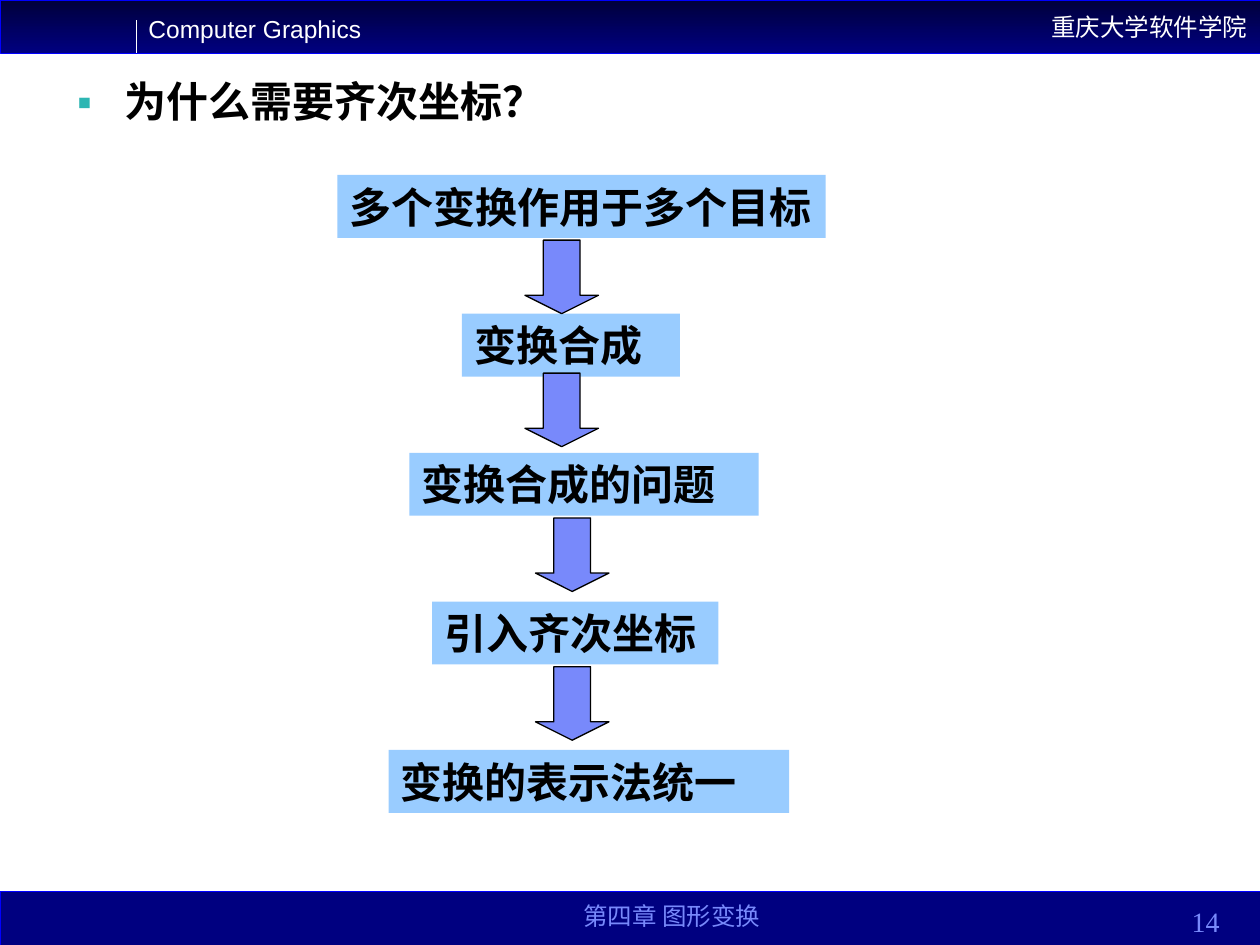
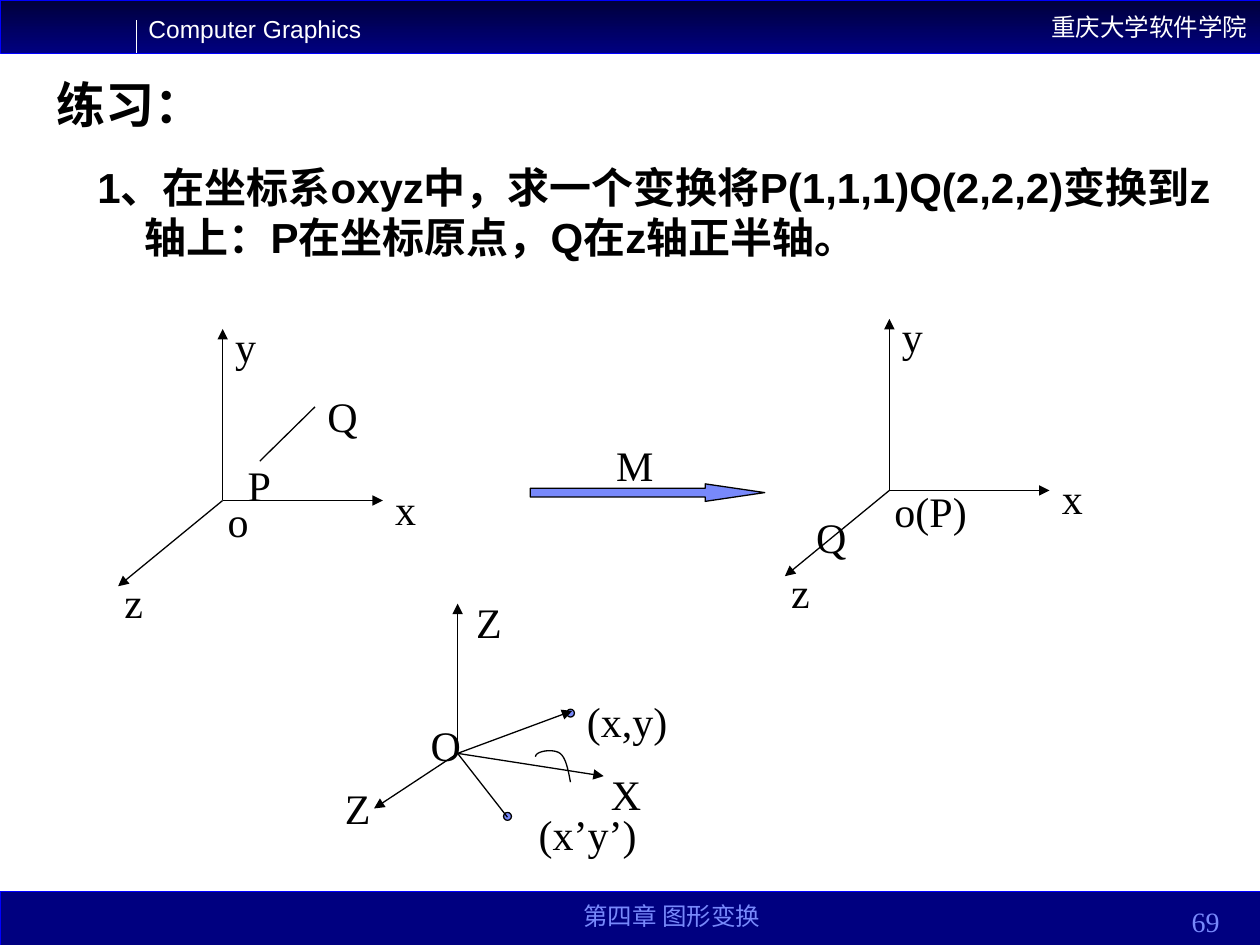
from lxml.etree import SubElement
from pptx import Presentation
from pptx.dml.color import RGBColor
from pptx.enum.shapes import MSO_CONNECTOR, MSO_SHAPE
from pptx.enum.text import MSO_ANCHOR, PP_ALIGN
from pptx.oxml.ns import qn
from pptx.util import Pt

COLORS = {
    "white": "FFFFFF",
    "black": "000000",
    "night": "00003B",
    "navy": "000080",
    "edge": "0000FF",
    "violet": "7889FB",
    "sky": "99CCFF",
    "teal": "2DB6B3",
}
SANS, SERIF = "Arial", "Times New Roman"


def add_filled(page, kind, left, top, width, height, fill, line=None, weight=0.75):
    """Add a preset shape with a plain fill and an optional outline."""
    shape = page.shapes.add_shape(kind, Pt(left), Pt(top), Pt(width), Pt(height))
    shape.shadow.inherit = False
    shape.fill.solid()
    shape.fill.fore_color.rgb = RGBColor.from_string(COLORS[fill])
    if line:
        shape.line.color.rgb = RGBColor.from_string(COLORS[line])
        shape.line.width = Pt(weight)
    else:
        shape.line.fill.background()
    return shape


def write(shape, text, size, font, color="black", bold=False, wrap=True,
          align=PP_ALIGN.LEFT, anchor=MSO_ANCHOR.TOP, hanging=0):
    """Put one formatted paragraph into a shape and return the paragraph."""
    frame = shape.text_frame
    frame.text = text
    frame.word_wrap = wrap
    frame.vertical_anchor = anchor
    para = frame.paragraphs[0]
    para.alignment = align
    if hanging:
        properties = para._p.get_or_add_pPr()
        properties.set("marL", str(Pt(hanging)))
        properties.set("indent", str(-Pt(hanging)))
    span = para.runs[0]
    span.font.size = Pt(size)
    span.font.name = font
    span.font.bold = bold
    span.font.color.rgb = RGBColor.from_string(COLORS[color])
    return para


deck = Presentation()
deck.slide_width, deck.slide_height = Pt(720), Pt(540)
lines = []  # page, colour, start x, start y, end x, end y, has arrowhead

# Header and footer bands
for number in ("14", "69"):
    page = deck.slides.add_slide(deck.slide_layouts[6])
    header = add_filled(page, MSO_SHAPE.RECTANGLE, 0, 0, 720, 30.5, "navy", "edge", 0.25)
    header.fill.gradient()
    header.fill.gradient_angle = 270
    for stop, color in zip(header.fill.gradient_stops, ("night", "navy")):
        stop.color.rgb = RGBColor.from_string(COLORS[color])
    write(header, "重庆大学软件学院", 14, SANS, "white",
          align=PP_ALIGN.RIGHT, anchor=MSO_ANCHOR.MIDDLE)
    add_filled(page, MSO_SHAPE.RECTANGLE, 0, 509.5, 720, 30.5, "navy", "edge", 0.25)

    course = page.shapes.add_textbox(Pt(77.75), Pt(4.5), Pt(136), Pt(24.5))
    write(course, "Computer Graphics", 14, SANS, "white", wrap=False)
    lines.append((page, "white", 78, 11.5, 78, 30.25, False))

    chapter = page.shapes.add_textbox(Pt(270), Pt(508), Pt(228), Pt(27))
    write(chapter, "第四章 图形变换", 14, SERIF, "violet",
          align=PP_ALIGN.CENTER, anchor=MSO_ANCHOR.BOTTOM)
    page_number = page.shapes.add_textbox(Pt(632), Pt(512.5), Pt(72), Pt(27))
    write(page_number, number, 16, SERIF, "violet",
          align=PP_ALIGN.RIGHT, anchor=MSO_ANCHOR.BOTTOM)

flow_page, exercise_page = deck.slides

# Slide 1: why homogeneous coordinates are needed
question = flow_page.shapes.add_textbox(Pt(37), Pt(43), Pt(612), Pt(40.5))
para = write(question, "为什么需要齐次坐标？", 24, SANS, bold=True, hanging=27)
para.line_spacing = 0.9
properties = para._p.get_or_add_pPr()
bullet_color = SubElement(properties, qn("a:buClr"))
SubElement(bullet_color, qn("a:srgbClr")).set("val", COLORS["teal"])
SubElement(properties, qn("a:buFont")).set("typeface", SANS)
SubElement(properties, qn("a:buChar")).set("char", "▪")

steps = [
    ("多个变换作用于多个目标", 192.75, 100, 279),
    ("变换合成", 264, 179.25, 124.5),
    ("变换合成的问题", 234, 258.75, 199.5),
    ("引入齐次坐标", 247, 343.75, 163.5),
    ("变换的表示法统一", 222, 428.5, 229),
]
for text, left, top, width in steps:
    step = add_filled(flow_page, MSO_SHAPE.RECTANGLE, left, top, width, 36, "sky")
    write(step, text, 24, SERIF, bold=True)

for left, top in ((300, 137.25), (300, 213.25), (306, 296), (306, 381)):
    arrow = add_filled(flow_page, MSO_SHAPE.DOWN_ARROW, left, top, 42, 42, "violet", "black")
    arrow.adjustments[1] = 0.25

# Slide 2: exercise
title = exercise_page.shapes.add_textbox(Pt(25.5), Pt(20), Pt(612), Pt(60))
write(title, "练习：", 28, SANS, bold=True, anchor=MSO_ANCHOR.BOTTOM).line_spacing = 0.9
task = exercise_page.shapes.add_textbox(Pt(48.5), Pt(88.5), Pt(652.5), Pt(385))
write(task, "1、在坐标系oxyz中，求一个变换将P(1,1,1)Q(2,2,2)变换到z轴上："
      "P在坐标原点，Q在z轴正半轴。", 24, SANS, bold=True, hanging=27)

# Text, left, top, width of each diagram label
labels = [
    ("P", 134.5, 259, 27.5),
    ("Q", 180, 219.5, 31.5),
    ("Q", 459.25, 289, 31.5),
    ("M", 345, 247.5, 35.5),
    ("Z", 190, 443.5, 29),
    ("X", 342, 435.5, 31.5),
    ("Z", 265, 337.5, 29),
    ("(x,y)", 328.25, 394, 62),
    ("(x’y’)", 300.75, 458.5, 76),
    ("O", 239, 407.5, 31.5),
]

# The same axes before and after the transformation
for origin_x, origin_y, origin_name, name_width in ((127.25, 286, "o", 26), (508.25, 280.25, "o(P)", 57)):
    for name, end_x, end_y, label_x, label_y in (
        ("x", 91.5, 0, 91.5, -13.5),
        ("y", 0, -98, 0, -106.5),
        ("z", -59.75, 49, -63.25, 40),
    ):
        lines.append((exercise_page, "black", origin_x, origin_y,
                      origin_x + end_x, origin_y + end_y, True))
        labels.append((name, origin_x + label_x, origin_y + label_y, 26))
    labels.append((origin_name, origin_x - 4.25, origin_y - 6.5, name_width))
lines.append((exercise_page, "black", 148.5, 263.5, 180, 232.5, False))

mapping = add_filled(exercise_page, MSO_SHAPE.RIGHT_ARROW, 303, 276.5, 134, 10, "violet", "black")
mapping.adjustments[1] = 3.4

# Rotation of a point about the vertical axis
for end_x, end_y, has_head in (
    (261.5, 345, True),
    (345, 443.5, True),
    (213.75, 462, True),
    (327, 406.25, True),
    (290, 467, False),
):
    lines.append((exercise_page, "black", 261.5, 430.5, end_x, end_y, has_head))
for left, top in ((287.75, 464.25), (323.75, 405.25)):
    add_filled(exercise_page, MSO_SHAPE.OVAL, left, top, 4.5, 4.5, "violet", "black")

bends = [
    ((326, 447), (324.75, 440), (323.25, 432.75), (320, 430.5)),
    ((320, 430.5), (316.5, 427.75), (306, 429), (306, 432.5)),
]
points = []
for curve in bends:
    for i in range(13):
        t = i / 12
        weights = ((1 - t) ** 3, 3 * t * (1 - t) ** 2, 3 * t ** 2 * (1 - t), t ** 3)
        points.append(tuple(Pt(sum(w * p[axis] for w, p in zip(weights, curve))) for axis in (0, 1)))
builder = exercise_page.shapes.build_freeform(*points[0])
builder.add_line_segments(points[1:], close=False)
angle_arc = builder.convert_to_shape()
angle_arc.shadow.inherit = False
angle_arc.fill.background()
angle_arc.line.color.rgb = RGBColor.from_string(COLORS["black"])
angle_arc.line.width = Pt(0.75)

for text, left, top, width in labels:
    label = exercise_page.shapes.add_textbox(Pt(left), Pt(top), Pt(width), Pt(36))
    write(label, text, 24, SERIF)

for page, color, start_x, start_y, end_x, end_y, has_head in lines:
    connector = page.shapes.add_connector(
        MSO_CONNECTOR.STRAIGHT, Pt(start_x), Pt(start_y), Pt(end_x), Pt(end_y))
    connector.line.color.rgb = RGBColor.from_string(COLORS[color])
    connector.line.width = Pt(0.75)
    properties = connector.element.spPr
    if has_head:
        SubElement(properties.find(qn("a:ln")), qn("a:tailEnd")).set("type", "triangle")
    SubElement(properties, qn("a:effectLst"))

deck.save("out.pptx")
